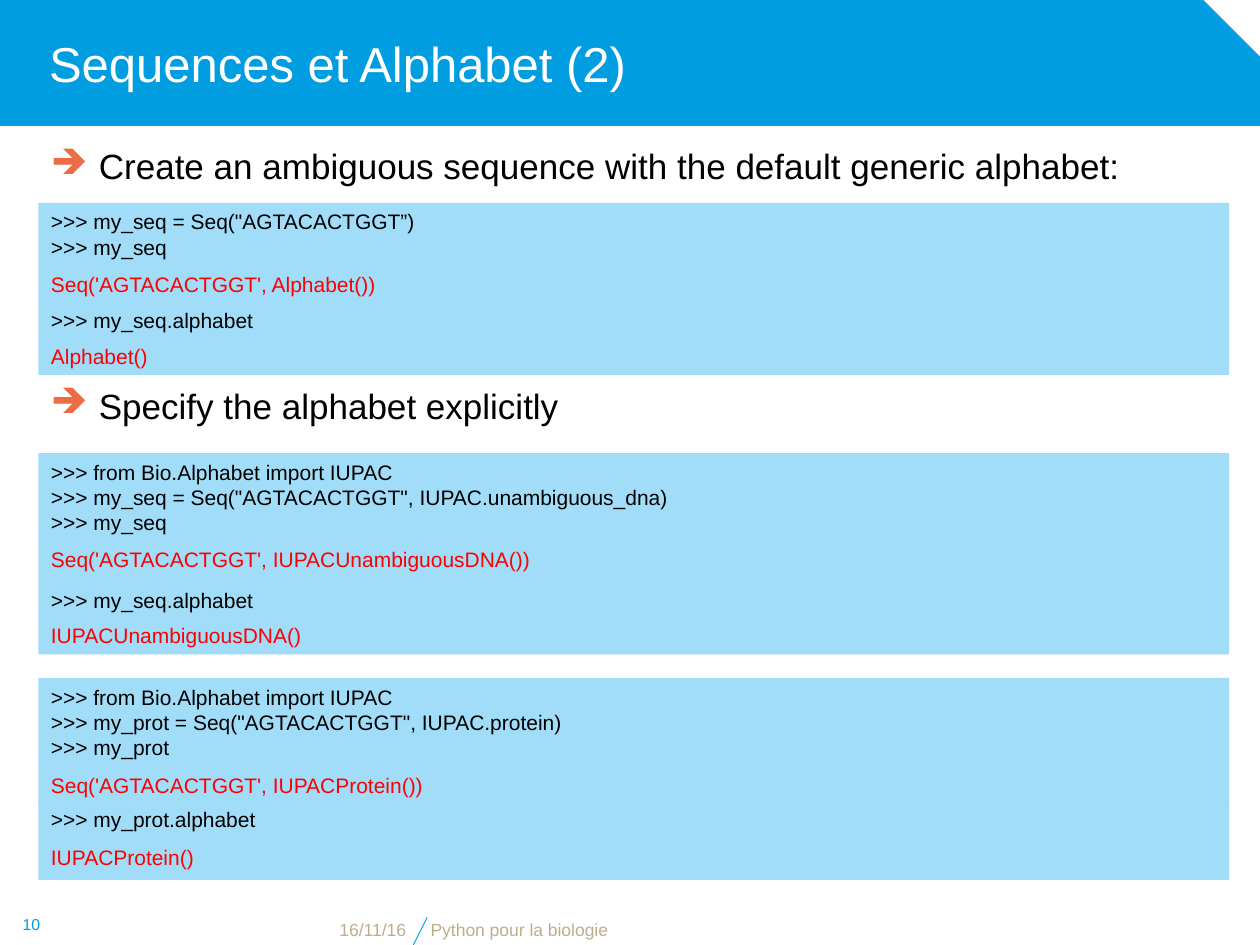
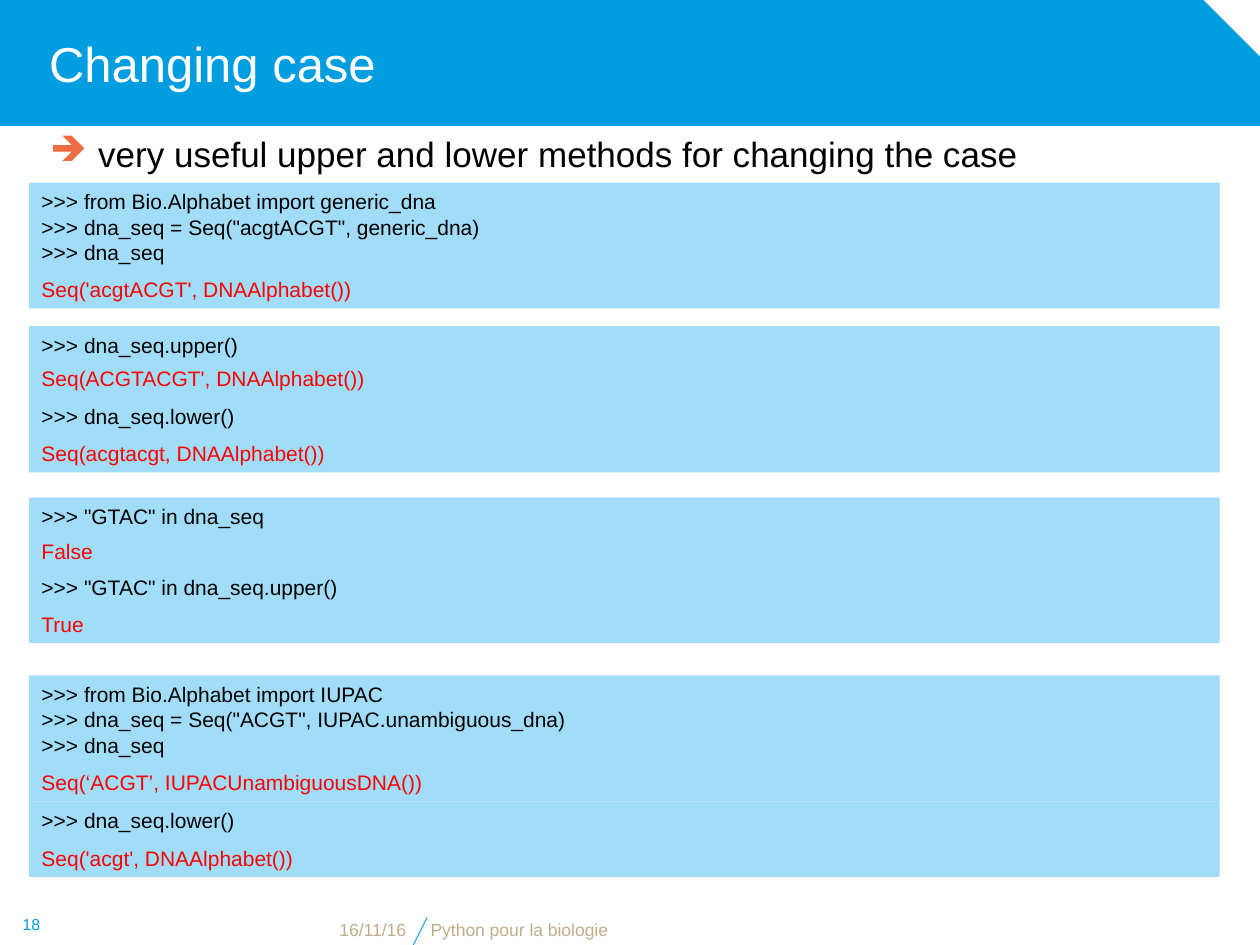
from lxml import etree
from pptx import Presentation
from pptx.dml.color import RGBColor
from pptx.enum.shapes import MSO_CONNECTOR, MSO_SHAPE
from pptx.enum.text import MSO_ANCHOR, PP_ALIGN
from pptx.oxml.ns import qn
from pptx.util import Pt

STRAIGHT = MSO_CONNECTOR.STRAIGHT
RECTANGLE = MSO_SHAPE.RECTANGLE
SNIPPED = MSO_SHAPE.SNIP_1_RECTANGLE
TOP, MIDDLE, BOTTOM = MSO_ANCHOR.TOP, MSO_ANCHOR.MIDDLE, MSO_ANCHOR.BOTTOM
LEFT, CENTER, RIGHT = PP_ALIGN.LEFT, PP_ALIGN.CENTER, PP_ALIGN.RIGHT

BLUE, PALE_BLUE, ORANGE, SAND = "009DE0", "A1DDF9", "EC6C43", "BEAD8A"
BLACK, WHITE, RED = "000000", "FFFFFF", "FF0000"
FONT = "Arial"
COLUMN_WIDTH = 680.4
BULLET_INDENT = 27.4
CODE_LINE, CODE_PADDING = 14.8, 6.8


def color(hex_value):
    return RGBColor.from_string(hex_value)


class Deck:
    def __init__(self):
        self.presentation = Presentation()
        self.presentation.slide_width = Pt(720)
        self.presentation.slide_height = Pt(540)
        self.slide = None

    def new_slide(self, title, number):
        layout = self.presentation.slide_layouts[6]
        self.slide = self.presentation.slides.add_slide(layout)
        band = self.box(SNIPPED, 0, 0, 720.7, 72, BLUE)
        band.adjustments[0] = 0.46
        self.line(236.2, 540, 244.1, 524.2)
        self.text(title, 0, 0, 684, 72, 28, WHITE, anchor=MIDDLE, inset=28.1)
        self.text("16/11/16", 71.3, 524.2, 167.8, 16.6, 10, SAND, RIGHT, BOTTOM)
        self.text("Python pour la biologie", 239, 524.2, 414, 16.6, 10, SAND, anchor=BOTTOM)
        self.text(str(number), 0, 516.2, 36, 23.8, 9, BLUE, CENTER, MIDDLE)

    def box(self, preset, left, top, width, height, fill):
        shape = self.slide.shapes.add_shape(preset, Pt(left), Pt(top), Pt(width), Pt(height))
        shape.shadow.inherit = False
        shape.fill.solid()
        shape.fill.fore_color.rgb = color(fill)
        shape.line.fill.background()
        return shape

    def line(self, x1, y1, x2, y2):
        slash = self.slide.shapes.add_connector(STRAIGHT, Pt(x1), Pt(y1), Pt(x2), Pt(y2))
        slash.line.color.rgb = color(BLUE)
        slash.line.width = Pt(0.5)
        etree.SubElement(slash._element.spPr, qn("a:effectLst"))

    def set_text(self, frame, text, size, ink, align=LEFT, anchor=TOP, inset=7.2):
        frame.word_wrap = True
        frame.vertical_anchor = anchor
        frame.margin_left, frame.margin_right = Pt(inset), Pt(7.2)
        frame.margin_top = frame.margin_bottom = Pt(3.6)
        frame.text = text
        for paragraph in frame.paragraphs:
            paragraph.alignment = align
            paragraph.font.name = FONT
            paragraph.font.size = Pt(size)
            paragraph.font.color.rgb = color(ink)

    def text(self, text, left, top, width, height, size, ink, align=LEFT, anchor=TOP, inset=7.2):
        box = self.slide.shapes.add_textbox(Pt(left), Pt(top), Pt(width), Pt(height))
        self.set_text(box.text_frame, text, size, ink, align, anchor, inset)
        return box.text_frame.paragraphs[0]

    def bullet(self, text, left, top):
        paragraph = self.text(text, left, top, COLUMN_WIDTH, 36.7, 20, BLACK)
        properties = paragraph._p.get_or_add_pPr()
        properties.set("marL", str(Pt(BULLET_INDENT)))
        properties.set("indent", str(-Pt(BULLET_INDENT)))
        marker_color = etree.Element(qn("a:buClr"))
        etree.SubElement(marker_color, qn("a:srgbClr"), val=ORANGE)
        marker = etree.Element(qn("a:buChar"), char="➔")
        properties.insert(0, marker_color)
        properties.insert(1, marker)

    def session(self, left, bottom, *steps):
        next_tops = [top for top, _ in steps[1:]] + [bottom]
        for (top, code), next_top in zip(steps, next_tops):
            natural = CODE_LINE * len(code.split("\n")) + CODE_PADDING
            height = max(natural, next_top - top)
            cell = self.box(RECTANGLE, left, top, COLUMN_WIDTH, height, PALE_BLUE)
            ink = BLACK if code.startswith(">>>") else RED
            self.set_text(cell.text_frame, code, 12, ink)


def sequences_and_alphabet(deck):
    left = 22
    deck.new_slide("Sequences et Alphabet (2)", 10)
    deck.bullet("Create an ambiguous sequence with the default generic alphabet:", left, 79.2)
    deck.session(
        left, 214,
        (115.9, '>>> my_seq = Seq("AGTACACTGGT”)\n>>> my_seq'),
        (151.4, "Seq('AGTACACTGGT', Alphabet())"),
        (172.4, ">>> my_seq.alphabet"),
        (192.6, "Alphabet()"))
    deck.bullet("Specify the alphabet explicitly", left, 216)
    deck.session(
        left, 374,
        (259, ">>> from Bio.Alphabet import IUPAC\n"
              '>>> my_seq = Seq("AGTACACTGGT", IUPAC.unambiguous_dna)\n>>> my_seq'),
        (309, "Seq('AGTACACTGGT', IUPACUnambiguousDNA())"),
        (332, ">>> my_seq.alphabet"),
        (352.4, "IUPACUnambiguousDNA()"))
    deck.session(
        left, 502.8,
        (387.4, ">>> from Bio.Alphabet import IUPAC\n"
                '>>> my_prot = Seq("AGTACACTGGT", IUPAC.protein)\n>>> my_prot'),
        (437.8, "Seq('AGTACACTGGT', IUPACProtein())"),
        (457.4, ">>> my_prot.alphabet"),
        (479, "IUPACProtein()"))


def changing_case(deck):
    left = 16.6
    deck.new_slide("Changing case", 18)
    deck.bullet("very useful upper and lower methods for changing the case", 21.6, 72)
    deck.session(
        left, 176,
        (104.4, ">>> from Bio.Alphabet import generic_dna\n"
                '>>> dna_seq = Seq("acgtACGT", generic_dna)\n>>> dna_seq'),
        (154.6, "Seq('acgtACGT', DNAAlphabet())"))
    deck.session(
        left, 270,
        (186.4, ">>> dna_seq.upper()"),
        (205.4, "Seq(ACGTACGT', DNAAlphabet())"),
        (227, ">>> dna_seq.lower()"),
        (248.4, "Seq(acgtacgt, DNAAlphabet())"))
    deck.session(
        left, 367.2,
        (284.4, '>>> "GTAC" in dna_seq'),
        (304, "False"),
        (325, '>>> "GTAC" in dna_seq.upper()'),
        (345.8, "True"))
    deck.session(
        left, 501.2,
        (386, ">>> from Bio.Alphabet import IUPAC\n"
              '>>> dna_seq = Seq("ACGT", IUPAC.unambiguous_dna)\n>>> dna_seq'),
        (436.4, "Seq(‘ACGT’, IUPACUnambiguousDNA())"),
        (458, ">>> dna_seq.lower()"),
        (479.6, "Seq('acgt', DNAAlphabet())"))


def main():
    deck = Deck()
    sequences_and_alphabet(deck)
    changing_case(deck)
    deck.presentation.save("out.pptx")


if __name__ == "__main__":
    main()
